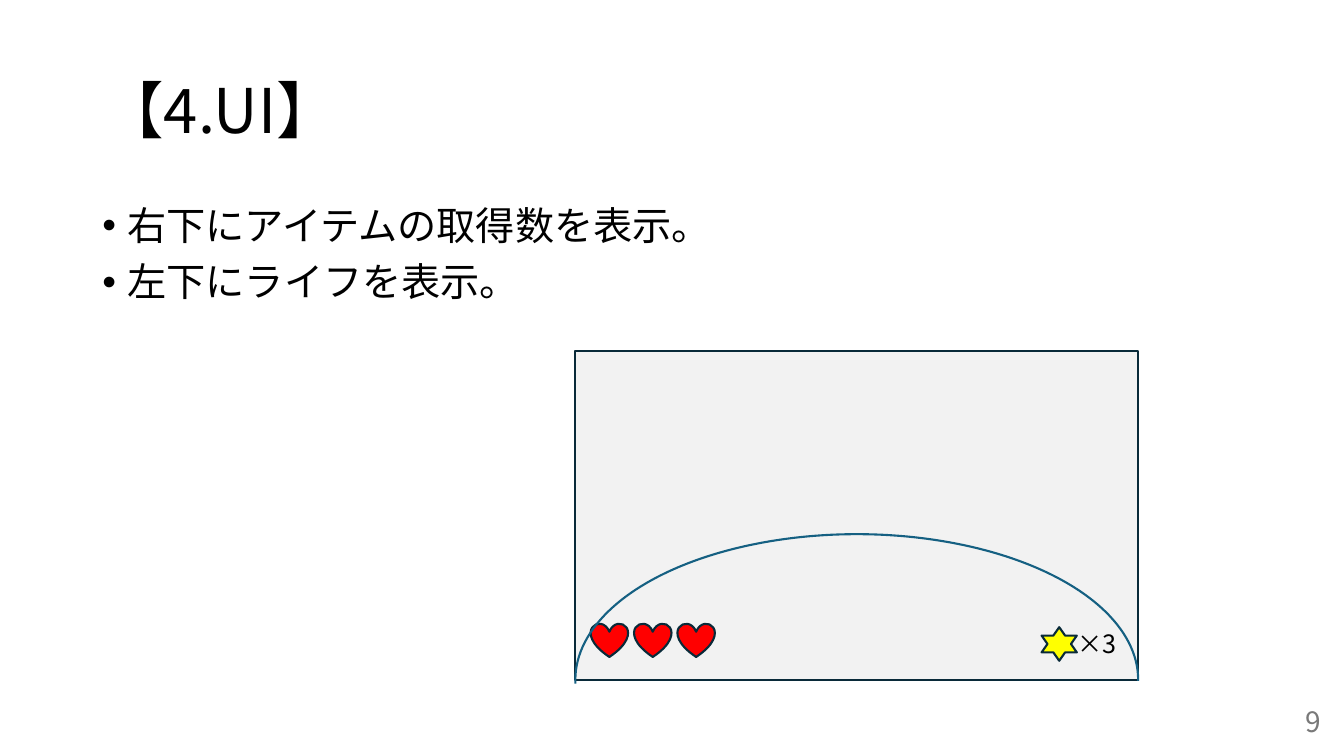
from dataclasses import dataclass
from typing import Optional

from lxml.etree import SubElement
from pptx import Presentation
from pptx.dml.color import RGBColor
from pptx.enum.shapes import MSO_SHAPE
from pptx.enum.text import MSO_ANCHOR, PP_ALIGN
from pptx.oxml.ns import qn
from pptx.util import Pt

FONT = "Noto Sans CJK JP"
COLORS = {
    "text": "000000",
    "page": "797979",
    "screen": "F2F2F2",
    "outline": "092A39",
    "horizon": "156082",
    "life": "FF0000",
    "item": "FFFF00",
}


@dataclass
class Figure:
    kind: MSO_SHAPE
    left: float
    top: float
    width: float
    height: float
    fill: Optional[str] = None
    line: str = "outline"
    adjustments: tuple[float, ...] = ()


def color(name: str) -> RGBColor:
    return RGBColor.from_string(COLORS[name])


def add_text(slide, lines: list[str], left: float, top: float, width: float,
             height: float, *, size: float, fill: str = "text",
             align: PP_ALIGN = PP_ALIGN.LEFT,
             anchor: MSO_ANCHOR = MSO_ANCHOR.TOP, wrap: bool = True,
             line_spacing: float = 1.0, gap: float = 0,
             bullet: bool = False) -> None:
    box = slide.shapes.add_textbox(Pt(left), Pt(top), Pt(width), Pt(height))
    frame = box.text_frame
    frame.word_wrap = wrap
    frame.vertical_anchor = anchor
    for index, line in enumerate(lines):
        paragraph = frame.add_paragraph() if index else frame.paragraphs[0]
        paragraph.alignment = align
        paragraph.line_spacing = line_spacing
        if index:
            paragraph.space_before = Pt(gap)
        if bullet:
            properties = paragraph._p.get_or_add_pPr()
            properties.set("marL", str(Pt(18)))
            properties.set("indent", str(-Pt(18)))
            SubElement(properties, qn("a:buFont")).set("typeface", "Arial")
            SubElement(properties, qn("a:buChar")).set("char", "•")
        run = paragraph.add_run()
        run.text = line
        run.font.size = Pt(size)
        run.font.color.rgb = color(fill)
        run.font.name = FONT
        SubElement(run._r.get_or_add_rPr(), qn("a:ea")).set("typeface", FONT)


def add_figure(slide, figure: Figure) -> None:
    shape = slide.shapes.add_shape(figure.kind, Pt(figure.left), Pt(figure.top),
                                   Pt(figure.width), Pt(figure.height))
    shape.shadow.inherit = False
    for index, value in enumerate(figure.adjustments):
        shape.adjustments[index] = value
    if figure.fill:
        shape.fill.solid()
        shape.fill.fore_color.rgb = color(figure.fill)
    else:
        shape.fill.background()
    shape.line.color.rgb = color(figure.line)
    shape.line.width = Pt(1.5)


def main() -> None:
    presentation = Presentation()
    presentation.slide_width = Pt(960)
    presentation.slide_height = Pt(540)
    slide = presentation.slides.add_slide(presentation.slide_layouts[6])

    # Title, points and page number
    add_text(slide, ["【4.UI】"], 66, 28.75, 828, 104.4, size=44,
             anchor=MSO_ANCHOR.MIDDLE, line_spacing=0.9)
    add_text(slide, ["右下にアイテムの取得数を表示。", "左下にライフを表示。"],
             66, 144, 443.5, 88, size=28, line_spacing=0.9, gap=10, bullet=True)
    add_text(slide, ["9"], 735, 500.5, 216, 28.75, size=20, fill="page",
             align=PP_ALIGN.RIGHT, anchor=MSO_ANCHOR.MIDDLE)

    # Game screen with lives at lower left and item count at lower right
    screen = Figure(MSO_SHAPE.RECTANGLE, 411, 250.5, 402, 235, "screen")
    lives = [Figure(MSO_SHAPE.HEART, 422 + 31 * number, 445.25, 26.6, 24, "life")
             for number in range(3)]
    item = Figure(MSO_SHAPE.STAR_6_POINT, 744, 448, 25.2, 24, "item")
    for figure in [screen, *lives, item]:
        add_figure(slide, figure)
    add_text(slide, ["×3"], 762.5, 445, 42.5, 29, size=18, wrap=False)

    # Horizon across the screen
    add_figure(slide, Figure(MSO_SHAPE.ARC, screen.left, 381.6, screen.width, 208,
                             line="horizon", adjustments=(107.53, 0.13)))

    presentation.save("out.pptx")


if __name__ == "__main__":
    main()
